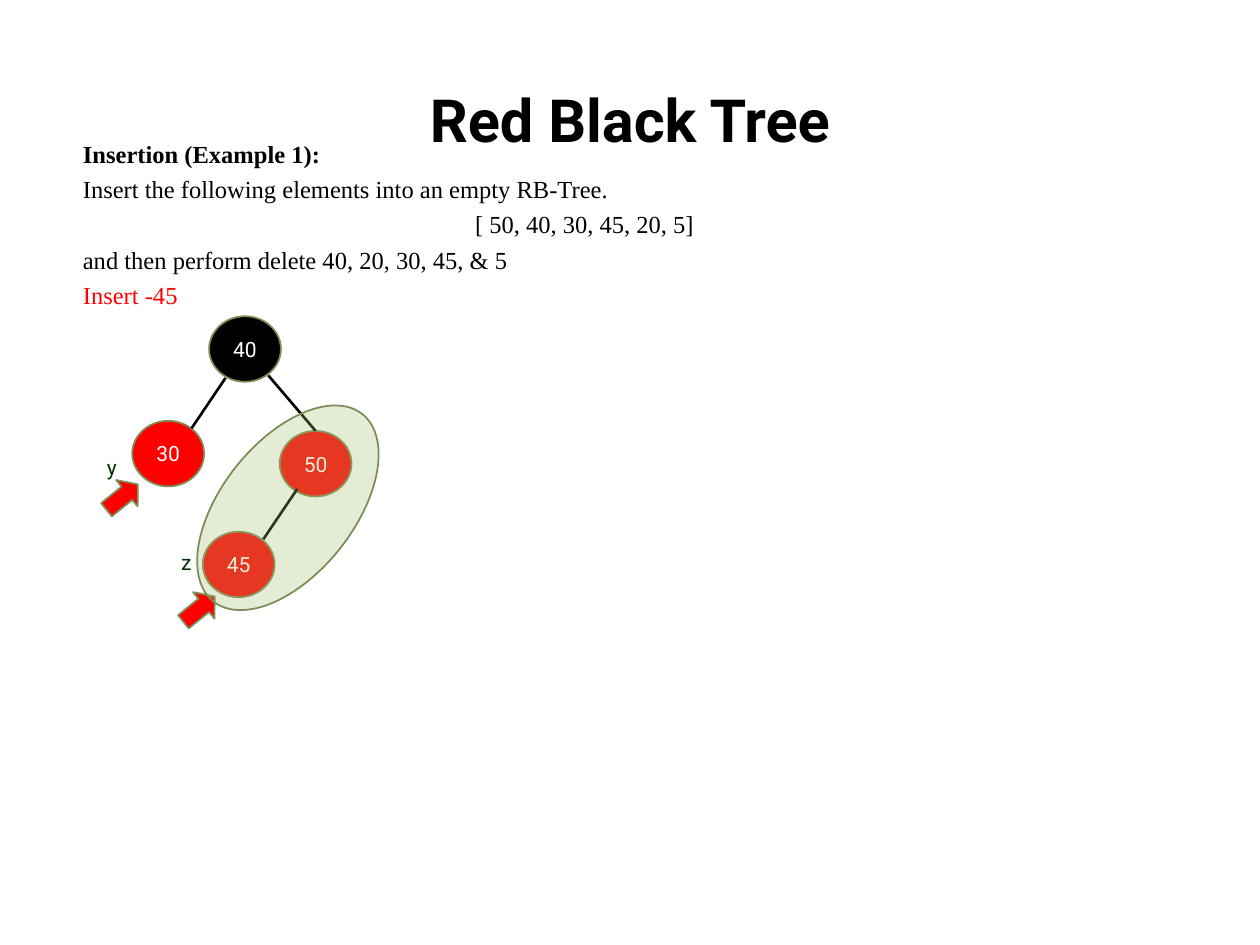
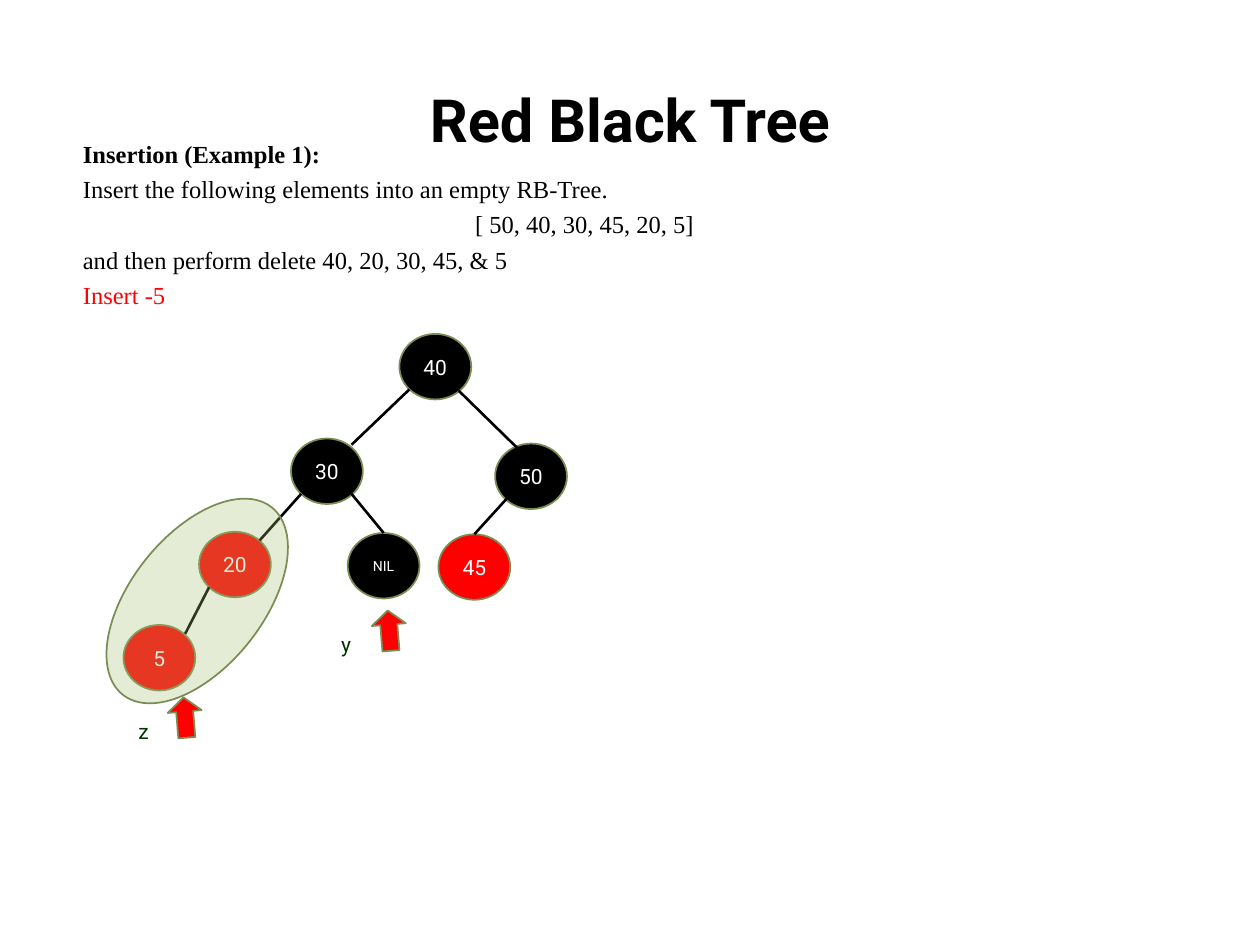
from dataclasses import dataclass

from lxml import etree
from pptx import Presentation, util as u
from pptx.dml.color import RGBColor
from pptx.enum import shapes as kinds, text as txt
from pptx.oxml import ns

Point = tuple[float, float]


@dataclass(frozen=True)
class Theme:
    black: str = "000000"
    red: str = "FF0000"
    white: str = "FFFFFF"
    olive: str = "7B8D55"
    halo: str = "A6BF73"
    green: str = "003300"
    halo_opacity: int = 29
    sans: str = "Roboto"
    serif: str = "Times New Roman"
    title: float = 34
    body: float = 14
    key: float = 12
    nil: float = 8
    body_gap: float = 3.4
    outline: float = 1
    edge: float = 1.5


THEME = Theme()
NODE_SIZE = (0.57, 0.52)
ARROW_SIZE = (0.32, 0.27)
LABEL_SIZE = (0.27, 0.3)
HALO_SIZE = (1.05, 1.9)
HALO_ANGLE = 38.5
TOP_SITE = 0


@dataclass(frozen=True)
class Node:
    key: str
    at: Point
    color: str = THEME.black
    size: float = THEME.key


@dataclass(frozen=True)
class Edge:
    start: Point
    end: Point | str


@dataclass(frozen=True)
class Pointer:
    name: str
    label_at: Point
    arrow_at: Point
    angle: float


@dataclass(frozen=True)
class Step:
    caption: str
    nodes: list[Node]
    edges: list[Edge]
    pointers: list[Pointer]
    halo_at: Point


STEPS = [
    Step(
        "Insert -45",
        [
            Node("40", (1.66, 2.51)),
            Node("50", (2.22, 3.42), THEME.red),
            Node("30", (1.05, 3.34), THEME.red),
            Node("45", (1.61, 4.22), THEME.red),
        ],
        [
            Edge((2.13, 2.98), "50"),
            Edge((1.79, 3), (1.52, 3.4)),
            Edge((2.36, 3.88), (2.09, 4.28)),
        ],
        [
            Pointer("z", (1.34, 4.31), (1.42, 4.7), 321),
            Pointer("y", (0.75, 3.56), (0.81, 3.81), 321),
        ],
        (1.76, 3.08),
    ),
    Step(
        "Insert -5",
        [
            Node("40", (3.17, 2.65)),
            Node("50", (3.93, 3.52)),
            Node("30", (2.31, 3.48)),
            Node("45", (3.48, 4.24), THEME.red),
            Node("20", (1.58, 4.22), THEME.red),
            Node("5", (0.98, 4.96), THEME.red),
            Node("NIL", (2.76, 4.23), size=THEME.nil),
        ],
        [
            Edge((3.64, 3.1), (4.11, 3.56)),
            Edge((3.25, 3.09), (2.79, 3.53)),
            Edge((4.02, 3.96), "45"),
            Edge((2.39, 3.92), (2.06, 4.29)),
            Edge((1.66, 4.66), (1.47, 5.03)),
            Edge((2.79, 3.92), "NIL"),
        ],
        [
            Pointer("z", (1, 5.65), (1.31, 5.56), 265.3),
            Pointer("y", (2.61, 4.96), (2.93, 4.87), 265.3),
        ],
        (1.04, 3.82),
    ),
]


def inches(*values: float) -> list[int]:
    return [u.Inches(value) for value in values]


def style(paragraph, font: str, size: float, color: str, bold: bool = False) -> None:
    for run in paragraph.runs:
        run.font.name = font
        run.font.size = u.Pt(size)
        run.font.bold = bold
        run.font.color.rgb = RGBColor.from_string(color)


def add_title(slide) -> None:
    title = slide.shapes.title
    title.left, title.top, title.width, title.height = inches(0.5, 0.55, 9, 0.79)
    frame = title.text_frame
    frame.text = "Red Black Tree"
    frame.vertical_anchor = txt.MSO_ANCHOR.MIDDLE
    frame.paragraphs[0].alignment = txt.PP_ALIGN.CENTER
    style(frame.paragraphs[0], THEME.sans, THEME.title, THEME.black, True)


def add_task(slide, caption: str) -> None:
    align = txt.PP_ALIGN
    lines = [
        ("Insertion (Example 1):", align.JUSTIFY, THEME.black, True),
        ("Insert the following elements into an empty RB-Tree.",
         align.JUSTIFY, THEME.black, False),
        ("[ 50, 40, 30, 45, 20, 5]", align.CENTER, THEME.black, False),
        ("and then perform delete 40, 20, 30, 45, & 5",
         align.LEFT, THEME.black, False),
        (caption, align.LEFT, THEME.red, False),
    ]
    frame = slide.shapes.add_textbox(*inches(0.56, 1.05, 8.16, 1.21)).text_frame
    frame.word_wrap = True
    frame.text = "\n".join(line[0] for line in lines)
    for paragraph, (_, alignment, color, bold) in zip(frame.paragraphs, lines):
        paragraph.alignment = alignment
        paragraph.space_before = u.Pt(THEME.body_gap)
        style(paragraph, THEME.serif, THEME.body, color, bold)


def add_outlined(slide, kind, at: Point, size: Point, color: str, angle: float = 0):
    shape = slide.shapes.add_shape(kind, *inches(*at, *size))
    shape.rotation = angle
    shape.shadow.inherit = False
    shape.fill.solid()
    shape.fill.fore_color.rgb = RGBColor.from_string(color)
    shape.line.color.rgb = RGBColor.from_string(THEME.olive)
    shape.line.width = u.Pt(THEME.outline)
    return shape


def add_pointer(slide, pointer: Pointer) -> None:
    arrow = add_outlined(slide, kinds.MSO_SHAPE.RIGHT_ARROW, pointer.arrow_at,
                         ARROW_SIZE, THEME.red, pointer.angle)
    arrow.adjustments[0] = 0.5
    arrow.adjustments[1] = 0.415
    label = slide.shapes.add_textbox(*inches(*pointer.label_at, *LABEL_SIZE))
    frame = label.text_frame
    frame.auto_size = txt.MSO_AUTO_SIZE.SHAPE_TO_FIT_TEXT
    frame.text = pointer.name
    style(frame.paragraphs[0], THEME.sans, THEME.key, THEME.green)


def add_node(slide, node: Node):
    circle = add_outlined(slide, kinds.MSO_SHAPE.OVAL, node.at, NODE_SIZE, node.color)
    frame = circle.text_frame
    frame.word_wrap = False
    frame.vertical_anchor = txt.MSO_ANCHOR.MIDDLE
    frame.text = node.key
    frame.paragraphs[0].alignment = txt.PP_ALIGN.CENTER
    style(frame.paragraphs[0], THEME.sans, node.size, THEME.white)
    return circle


def add_edge(slide, edge: Edge, circles: dict) -> None:
    child = circles.get(edge.end)
    end = edge.start if child else edge.end
    branch = slide.shapes.add_connector(
        kinds.MSO_CONNECTOR.STRAIGHT, *inches(*edge.start, *end))
    if child:
        branch.end_connect(child, TOP_SITE)
    branch.line.color.rgb = RGBColor.from_string(THEME.black)
    branch.line.width = u.Pt(THEME.edge)
    etree.SubElement(branch._element.spPr, ns.qn("a:effectLst"))


def add_halo(slide, at: Point) -> None:
    halo = add_outlined(slide, kinds.MSO_SHAPE.OVAL, at, HALO_SIZE,
                        THEME.halo, HALO_ANGLE)
    fill = halo._element.spPr.find(ns.qn("a:solidFill"))
    alpha = etree.SubElement(fill[0], ns.qn("a:alpha"))
    alpha.set("val", str(THEME.halo_opacity * 1000))


def add_step(deck, step: Step) -> None:
    slide = deck.slides.add_slide(deck.slide_layouts.get_by_name("Title Only"))
    add_title(slide)
    add_task(slide, step.caption)
    for pointer in step.pointers:
        add_pointer(slide, pointer)
    circles = {node.key: add_node(slide, node) for node in step.nodes}
    for edge in step.edges:
        add_edge(slide, edge, circles)
    add_halo(slide, step.halo_at)


def main() -> None:
    deck = Presentation()
    deck.slide_width, deck.slide_height = inches(10, 7.5)
    for step in STEPS:
        add_step(deck, step)
    deck.save("out.pptx")


if __name__ == "__main__":
    main()
